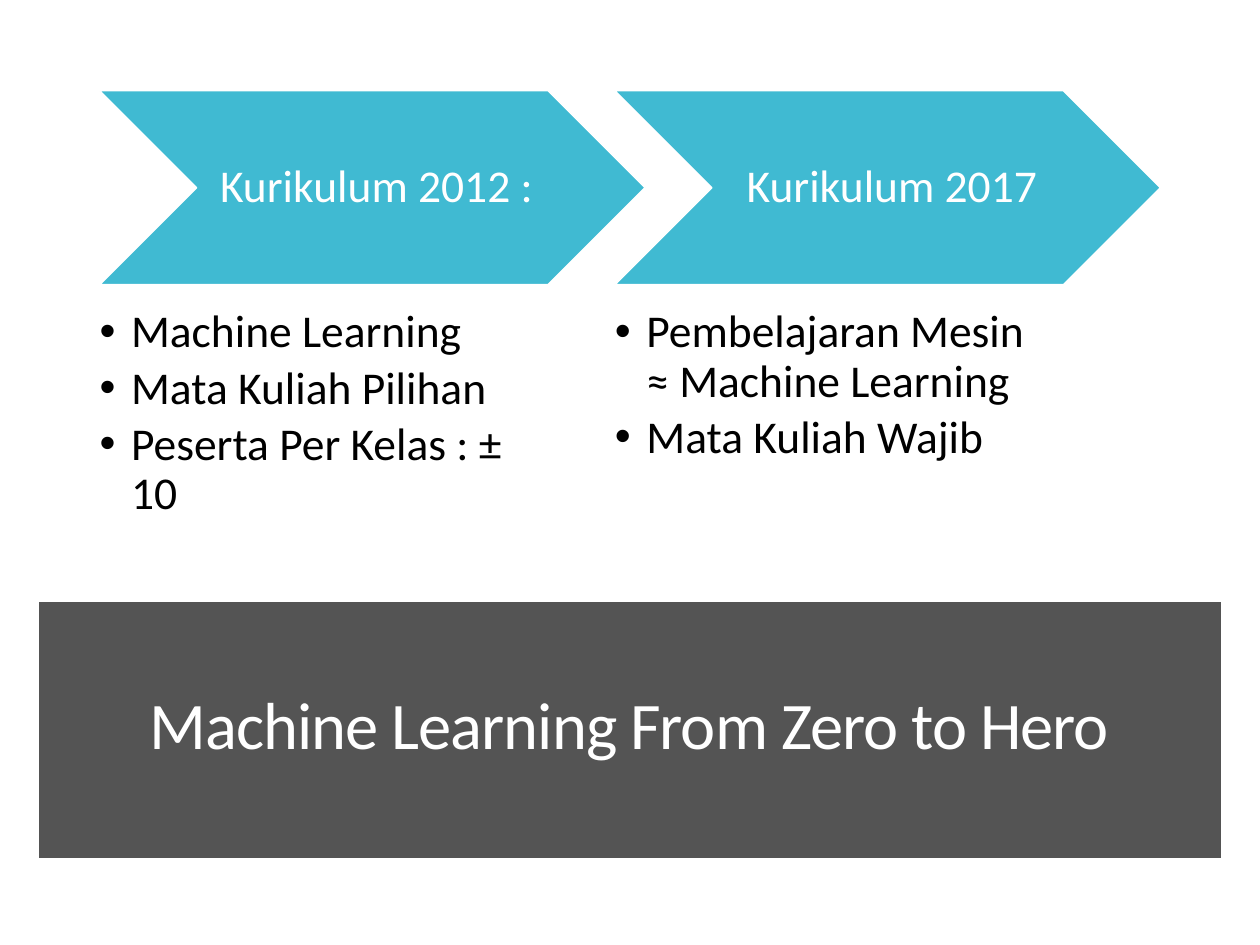
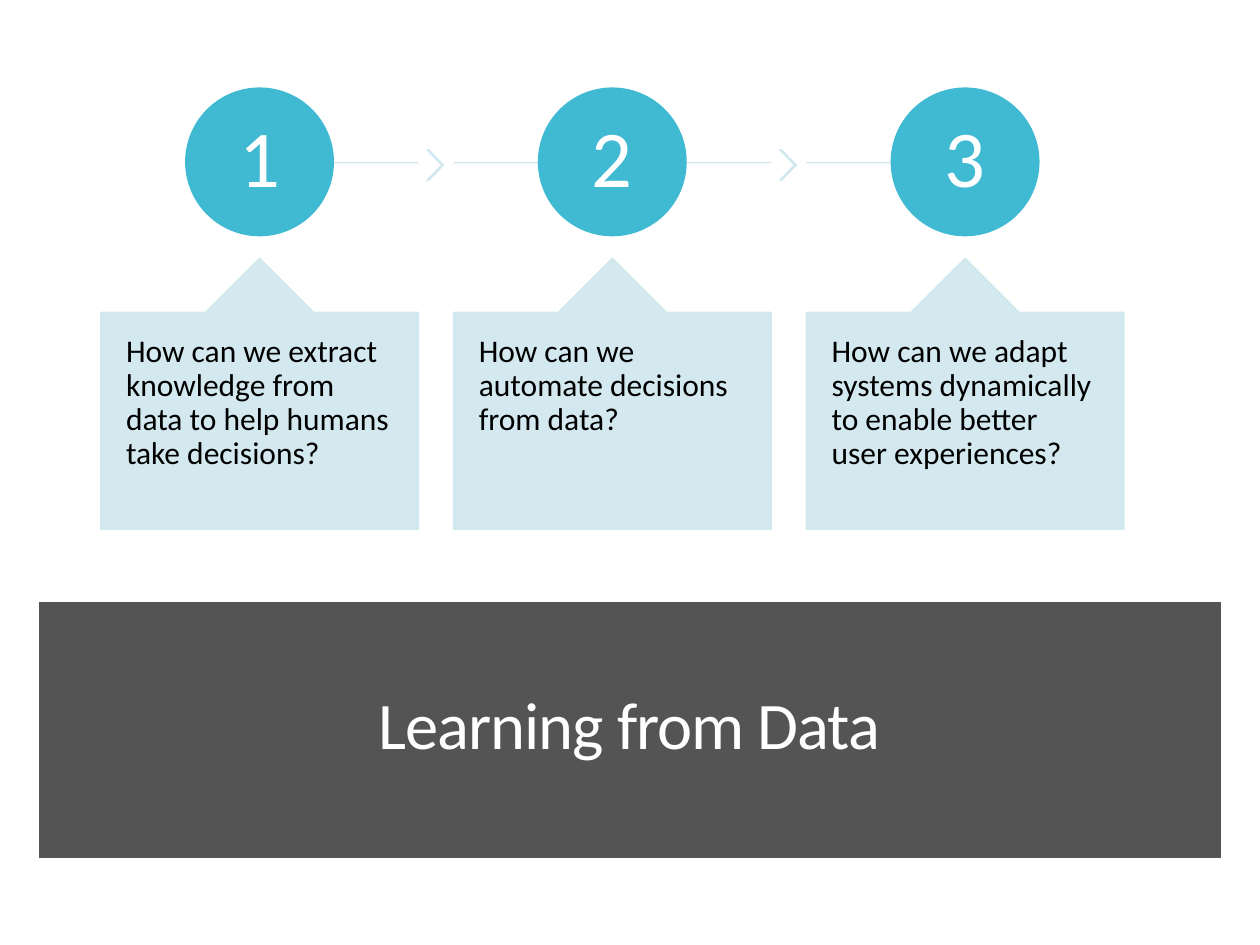
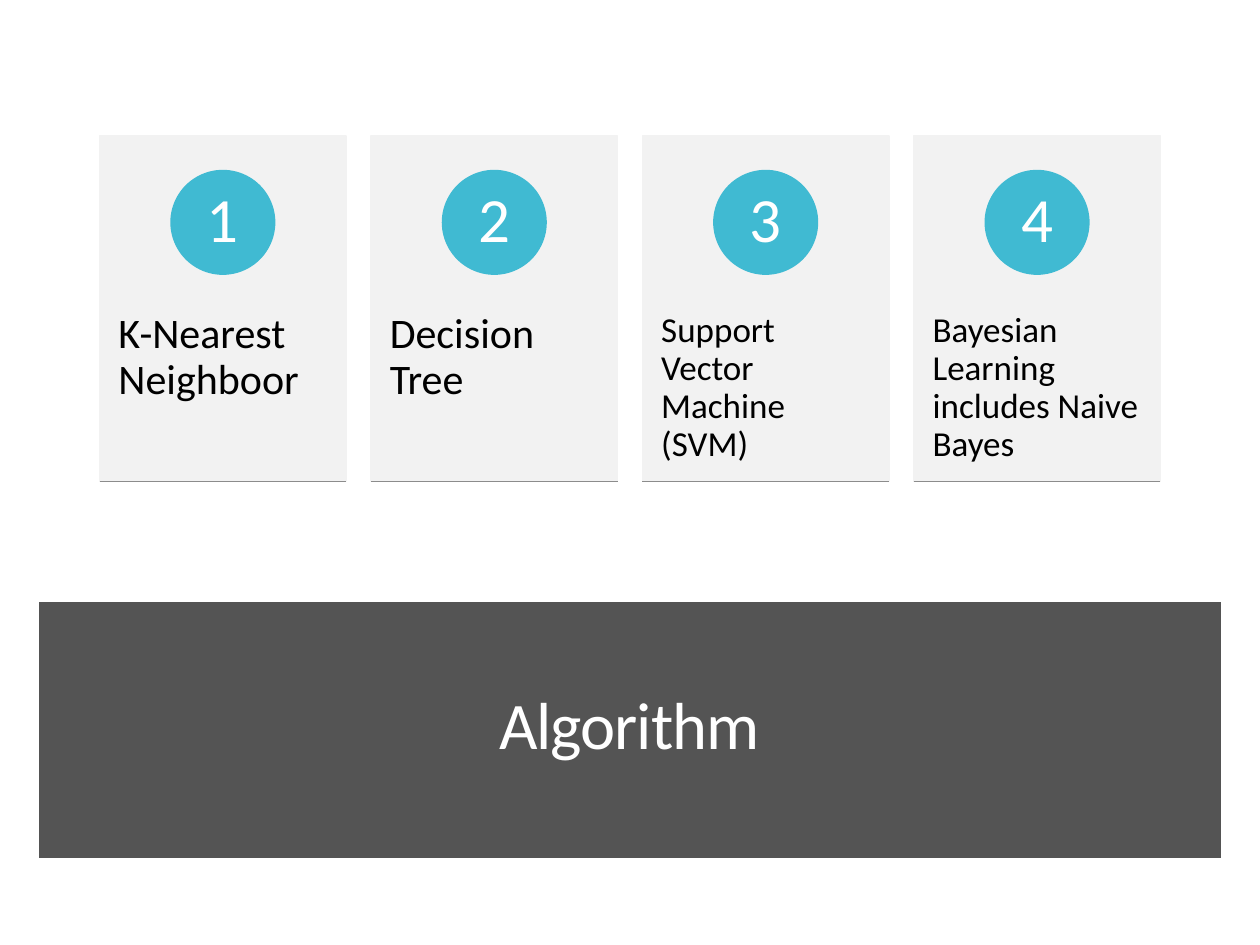
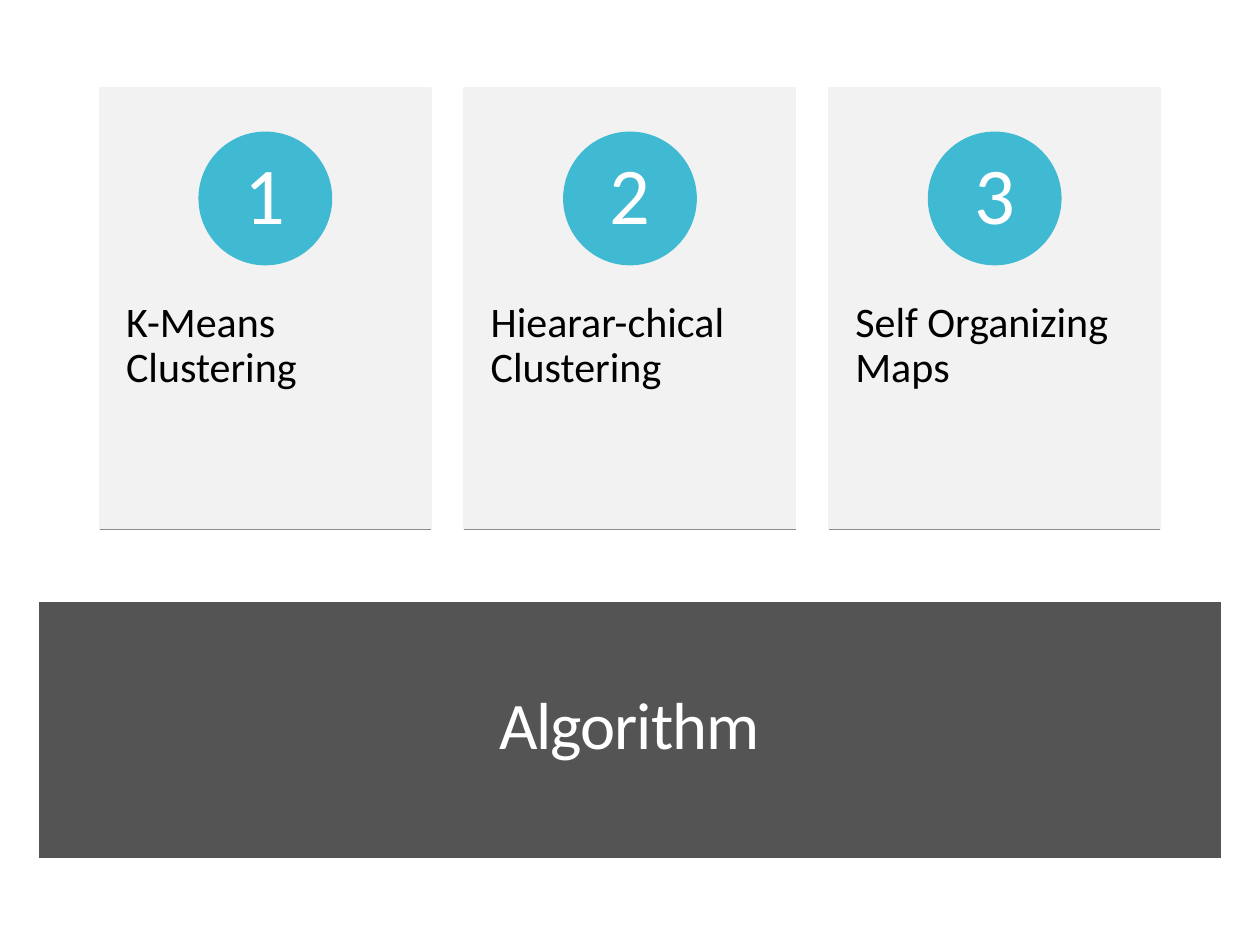
"""Build four slides on a machine learning course, on a grid of one-inch columns and rows."""
from lxml import etree
from pptx import Presentation
from pptx.dml.color import RGBColor
from pptx.enum.shapes import MSO_CONNECTOR, MSO_SHAPE
from pptx.enum.text import MSO_ANCHOR, MSO_AUTO_SIZE, PP_ALIGN
from pptx.oxml.ns import qn
from pptx.util import Inches, Pt

RECT, OVAL, CHEVRON = MSO_SHAPE.RECTANGLE, MSO_SHAPE.OVAL, MSO_SHAPE.CHEVRON
CALLOUT, STRAIGHT = MSO_SHAPE.UP_ARROW_CALLOUT, MSO_CONNECTOR.STRAIGHT
TOP, MIDDLE = MSO_ANCHOR.TOP, MSO_ANCHOR.MIDDLE
LEFT, CENTER, FIXED = PP_ALIGN.LEFT, PP_ALIGN.CENTER, MSO_AUTO_SIZE.NONE

FONT = "Calibri"
TEAL, PALE, DARK, CARD = "40BAD2", "CFE7EE", "545454", "F2F2F2"
WHITE, BLACK, GREY = "FFFFFF", "000000", "8C8C8C"
THIN = Pt(0.85)
EDGE, SPAN, MID = 0.79, 8.42, 2.45
hue = RGBColor.from_string


def draw(slide, kind, spot, fill, edge):
    """Add a flat preset shape at a grid spot."""
    shape = slide.shapes.add_shape(kind, *map(Inches, spot))
    shape.shadow.inherit = False
    shape.fill.solid()
    shape.fill.fore_color.rgb = hue(fill)
    shape.line.color.rgb = hue(edge)
    shape.line.width = THIN
    return shape


def write(shape, lines, size, color, align, anchor, pads, after=0):
    """Fill a shape with one run for each paragraph."""
    frame = shape.text_frame
    frame.word_wrap, frame.auto_size = True, FIXED
    frame.vertical_anchor = anchor
    (frame.margin_left, frame.margin_top,
     frame.margin_right, frame.margin_bottom) = map(Inches, pads)
    for i, line in enumerate(lines):
        para = frame.add_paragraph() if i else frame.paragraphs[0]
        para.alignment, para.line_spacing = align, 0.9
        para.space_before, para.space_after = Pt(0), Pt(after)
        run = para.add_run()
        run.text = line
        run.font.name, run.font.size = FONT, Pt(size)
        run.font.color.rgb = hue(color)
    return frame.paragraphs


prs = Presentation()
prs.slide_width, prs.slide_height = Inches(10), Inches(7.5)

titles = ["Machine Learning From Zero to Hero", "Learning from Data",
          "Algorithm", "Algorithm"]
slides = []
for i, head in enumerate(titles):
    slide = prs.slides.add_slide(prs.slide_layouts[5 if i else 3])
    band = draw(slide, RECT, (0.31, 4.78, 9.38, 2.03), DARK, DARK)
    band.line.fill.background()
    slide.shapes._spTree.insert(2, band._element)
    title = slide.shapes.title
    title.left, title.top, title.width, title.height = map(
        Inches, (0.45, 5.03, 9.09, 1.49))
    para = write(title, [head], 38, WHITE, CENTER, MIDDLE, (0.1, 0.05, 0.1, 0.05))[0]
    para.runs[0].font._element.set("spc", "-60")
    slides.append(slide)

courses = [
    ("Kurikulum 2012 :",
     ["Machine Learning", "Mata Kuliah Pilihan", "Peserta Per Kelas : ± 10"]),
    ("Kurikulum 2017",
     ["Pembelajaran Mesin ≈ Machine Learning", "Mata Kuliah Wajib"]),
]
slide = slides[0]
for i, (name, facts) in enumerate(courses):
    x = EDGE + 4.09 * i
    arrow = draw(slide, CHEVRON, (x, 0.72, 4.33, 1.54), TEAL, WHITE)
    write(arrow, [name], 26, WHITE, CENTER, MIDDLE, (0.11, 0.04, 0.04, 0.04))
    body = slide.placeholders[i + 1]
    body.left, body.top, body.width, body.height = map(Inches, (x, MID, 3.46, 1.73))
    for para in write(body, facts, 26, BLACK, LEFT, TOP, (0, 0, 0, 0), 4):
        props = para._p.get_or_add_pPr()
        props.set("marL", str(Inches(0.25)))
        props.set("indent", str(Inches(-0.25)))
        etree.SubElement(props, qn("a:buChar"), char="•")

asks = [
    ("How can we extract knowledge from data to help humans take decisions?", 0.56, 1),
    ("How can we automate decisions from data?", 0, 1),
    ("How can we adapt systems dynamically to enable better user experiences?", 0, 0.5),
]
slide = slides[1]
wide, dot = 2.52, 1.17
for i, (ask, start, end) in enumerate(asks):
    x = 0.8 + 2.8 * i
    bar = slide.shapes.add_connector(
        STRAIGHT, *map(Inches, (x + start * wide, 1.29, x + end * wide, 1.29)))
    bar.line.color.rgb, bar.line.width = hue(PALE), THIN
    etree.SubElement(bar._element.spPr, qn("a:effectLst"))
    note = draw(slide, CALLOUT, (x, 2.05, wide, 2.15), PALE, PALE)
    for k, share in enumerate((0.5, 0.2, 0.2, 1)):
        note.adjustments[k] = share
    soft = [bar, note]
    if i < len(asks) - 1:
        tip = draw(slide, CHEVRON, (x + 2.59, 1.19, 0.13, 0.24), PALE, PALE)
        tip.adjustments[0] = 0.9
        soft.append(tip)
    for part in soft:
        for tone in part._element.iter(qn("a:srgbClr")):
            etree.SubElement(tone, qn("a:alpha"), val="90000")
    write(note, [ask], 18, BLACK, LEFT, TOP, (0.2, 0.18, 0.2, 0.18))
    ball = draw(slide, OVAL, (x + (wide - dot) / 2, 0.7, dot, dot), TEAL, TEAL)
    write(ball, [str(i + 1)], 46, WHITE, CENTER, MIDDLE, [0.05] * 4)

decks = [
    (slides[2], 2.74, 0.15, 36,
     [("K-Nearest Neighboor", 24), ("Decision Tree", 24),
      ("Support Vector Machine (SVM)", 20),
      ("Bayesian Learning includes Naive Bayes", 20)]),
    (slides[3], 3.5, 0.21, 46,
     [("K-Means Clustering", 24), ("Hiearar-chical Clustering", 24),
      ("Self Organizing Maps", 24)]),
]
for slide, high, pad, size, cards in decks:
    wide = SPAN / (1.1 * len(cards) - 0.1)
    top, dot = MID - high / 2, 0.3 * high
    for i, (name, text) in enumerate(cards):
        x = EDGE + 1.1 * wide * i
        card = draw(slide, RECT, (x, top, wide, high), CARD, CARD)
        write(card, [name], text, BLACK, LEFT, TOP, (pad, 0.38 * high + 0.36, pad, 0))
        ball = draw(slide, OVAL, (x + (wide - dot) / 2, top + 0.1 * high, dot, dot),
                    TEAL, TEAL)
        write(ball, [str(i + 1)], size, WHITE, CENTER, MIDDLE, (0.06, 0.01, 0.06, 0.01))
        base = slide.shapes.add_connector(
            STRAIGHT, *map(Inches, (x, top + high, x + wide, top + high)))
        base.line.color.rgb, base.line.width = hue(GREY), Pt(0.5)
        etree.SubElement(base._element.spPr, qn("a:effectLst"))

prs.save("out.pptx")
